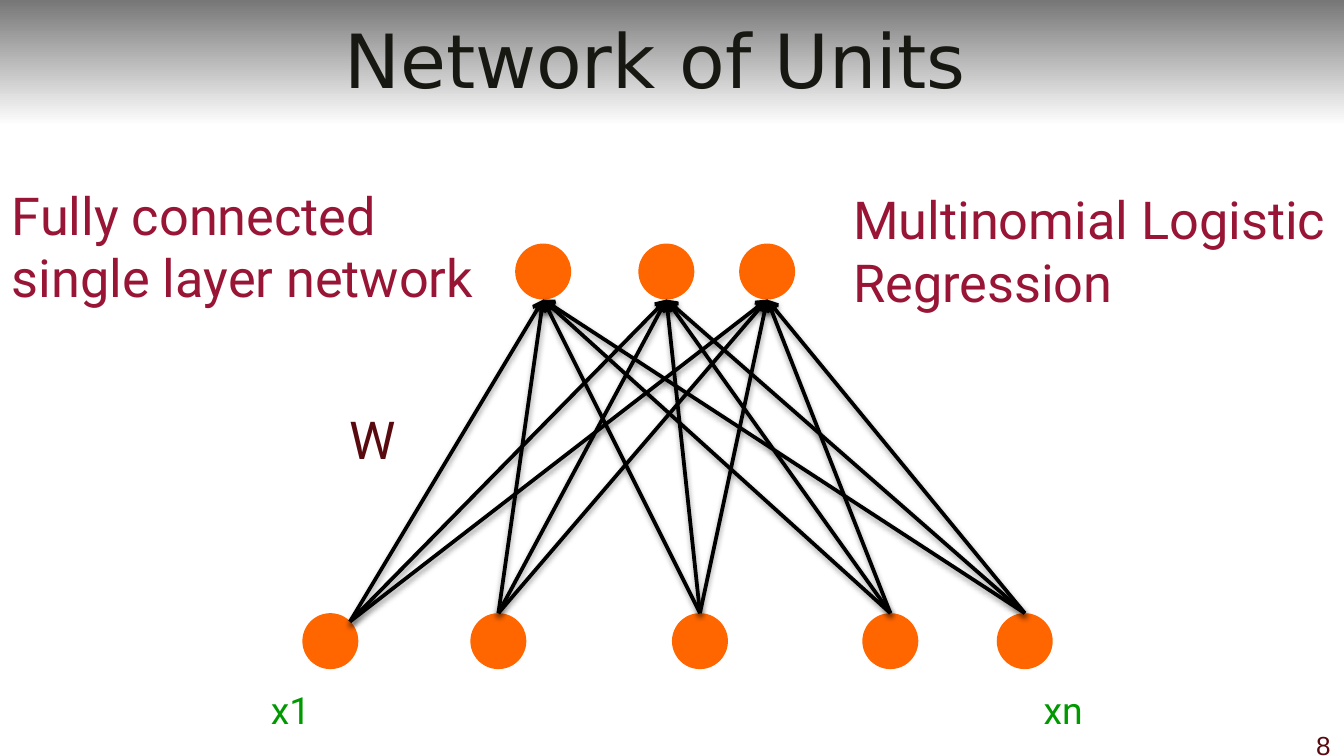
from dataclasses import dataclass
from itertools import product

from lxml.etree import SubElement
from pptx import Presentation
from pptx.dml.color import RGBColor
from pptx.enum.shapes import MSO_CONNECTOR, MSO_SHAPE
from pptx.enum.text import MSO_ANCHOR, MSO_AUTO_SIZE, PP_ALIGN
from pptx.oxml.ns import qn
from pptx.slide import Slide
from pptx.text.text import TextFrame
from pptx.util import Emu, Pt

EMU_PER_PX = 9525
SLIDE_WIDTH, SLIDE_HEIGHT = 960, 540
UNIT_SIZE = 40
OUTPUT_TOP, INPUT_TOP = 174, 438

COLORS = {
    "bar": "777777",
    "white": "FFFFFF",
    "title": "181813",
    "unit": "FF6600",
    "arrow": "000000",
    "dark_red": "590A0E",
    "red": "981535",
    "green": "009900",
}


@dataclass(frozen=True)
class Unit:
    left: int
    top: int
    start_dx: int = UNIT_SIZE // 2
    start_dy: int = 0


@dataclass(frozen=True)
class Label:
    text: str
    left: int
    top: int
    width: int
    height: int
    size: int
    color: str
    font: str = "Roboto"
    align: PP_ALIGN = PP_ALIGN.LEFT
    wrap: bool = True


OUTPUTS = [Unit(left, OUTPUT_TOP) for left in (368, 456, 528)]
# The arrows of the first input leave from its upper right edge.
INPUTS = [Unit(216, INPUT_TOP, 34, 6)] + [
    Unit(left, INPUT_TOP) for left in (336, 480, 616, 712)
]

LABELS = [
    Label("8", 912, 516, 48, 24, 14, "dark_red", "Arial", PP_ALIGN.RIGHT),
    Label("W", 240, 286, 48, 55, 28, "dark_red"),
    Label("xn", 736, 486, 48, 42, 20, "green", wrap=False),
    Label("x1", 184, 486, 48, 42, 20, "green"),
    Label("Fully connected single layer network", -1, 126, 361, 100, 28, "red"),
    Label("Multinomial Logistic\nRegression", 600, 129, 361, 100, 28, "red"),
]


def px(length: int) -> Emu:
    return Emu(length * EMU_PER_PX)


def rgb(name: str) -> RGBColor:
    return RGBColor.from_string(COLORS[name])


def format_text(frame: TextFrame, font: str, size: int, color: str, align: PP_ALIGN) -> None:
    for paragraph in frame.paragraphs:
        paragraph.alignment = align
        for run in paragraph.runs:
            run.font.name = font
            run.font.size = Pt(size)
            run.font.color.rgb = rgb(color)


def draw_title(slide: Slide, text: str) -> None:
    title = slide.shapes.title
    title.left, title.top, title.width, title.height = px(0), px(0), px(936), px(84)
    frame = title.text_frame
    frame.text = text
    frame.auto_size = MSO_AUTO_SIZE.NONE
    frame.vertical_anchor = MSO_ANCHOR.MIDDLE
    format_text(frame, "DejaVu Sans", 40, "title", PP_ALIGN.CENTER)


def draw_title_bar(slide: Slide) -> None:
    """Draw the gradient bar and put it behind the title."""
    bar = slide.shapes.add_shape(MSO_SHAPE.RECTANGLE, px(0), px(0), px(SLIDE_WIDTH), px(90))
    bar.shadow.inherit = False
    bar.line.fill.background()
    bar.fill.gradient()
    bar.fill.gradient_angle = 270
    for stop, position, color in zip(bar.fill.gradient_stops, (0, 1), ("bar", "white")):
        stop.position = position
        stop.color.rgb = rgb(color)
    slide.shapes.title.element.addprevious(bar.element)


def draw_unit(slide: Slide, unit: Unit) -> None:
    circle = slide.shapes.add_shape(
        MSO_SHAPE.OVAL, px(unit.left), px(unit.top), px(UNIT_SIZE), px(UNIT_SIZE)
    )
    circle.shadow.inherit = False
    circle.fill.solid()
    circle.fill.fore_color.rgb = rgb("unit")
    circle.line.fill.background()


def draw_arrow(slide: Slide, source: Unit, target: Unit) -> None:
    """Connect an input to the bottom of an output, with a soft shadow below."""
    arrow = slide.shapes.add_connector(
        MSO_CONNECTOR.STRAIGHT,
        px(source.left + source.start_dx),
        px(source.top + source.start_dy),
        px(target.left + UNIT_SIZE // 2),
        px(target.top + UNIT_SIZE),
    )
    arrow.line.color.rgb = rgb("arrow")
    arrow.line.width = Pt(2)
    properties = arrow.element.spPr
    SubElement(properties.find(qn("a:ln")), qn("a:tailEnd"), type="arrow")
    effects = SubElement(properties, qn("a:effectLst"))
    shadow = SubElement(
        effects, qn("a:outerShdw"), blurRad="40000", dist="20000", dir="5400000", rotWithShape="0"
    )
    color = SubElement(shadow, qn("a:srgbClr"), val=COLORS["arrow"])
    SubElement(color, qn("a:alpha"), val="38000")


def draw_label(slide: Slide, label: Label) -> None:
    box = slide.shapes.add_textbox(
        px(label.left), px(label.top), px(label.width), px(label.height)
    )
    frame = box.text_frame
    frame.text = label.text
    frame.word_wrap = label.wrap
    format_text(frame, label.font, label.size, label.color, label.align)


def main() -> None:
    presentation = Presentation()
    presentation.slide_width, presentation.slide_height = px(SLIDE_WIDTH), px(SLIDE_HEIGHT)
    slide = presentation.slides.add_slide(presentation.slide_layouts.get_by_name("Title Only"))

    draw_title(slide, "Network of Units")
    draw_title_bar(slide)
    for unit in OUTPUTS + INPUTS:
        draw_unit(slide, unit)
    for source, target in product(INPUTS, OUTPUTS):
        draw_arrow(slide, source, target)
    for label in LABELS:
        draw_label(slide, label)

    presentation.save("out.pptx")


if __name__ == "__main__":
    main()
